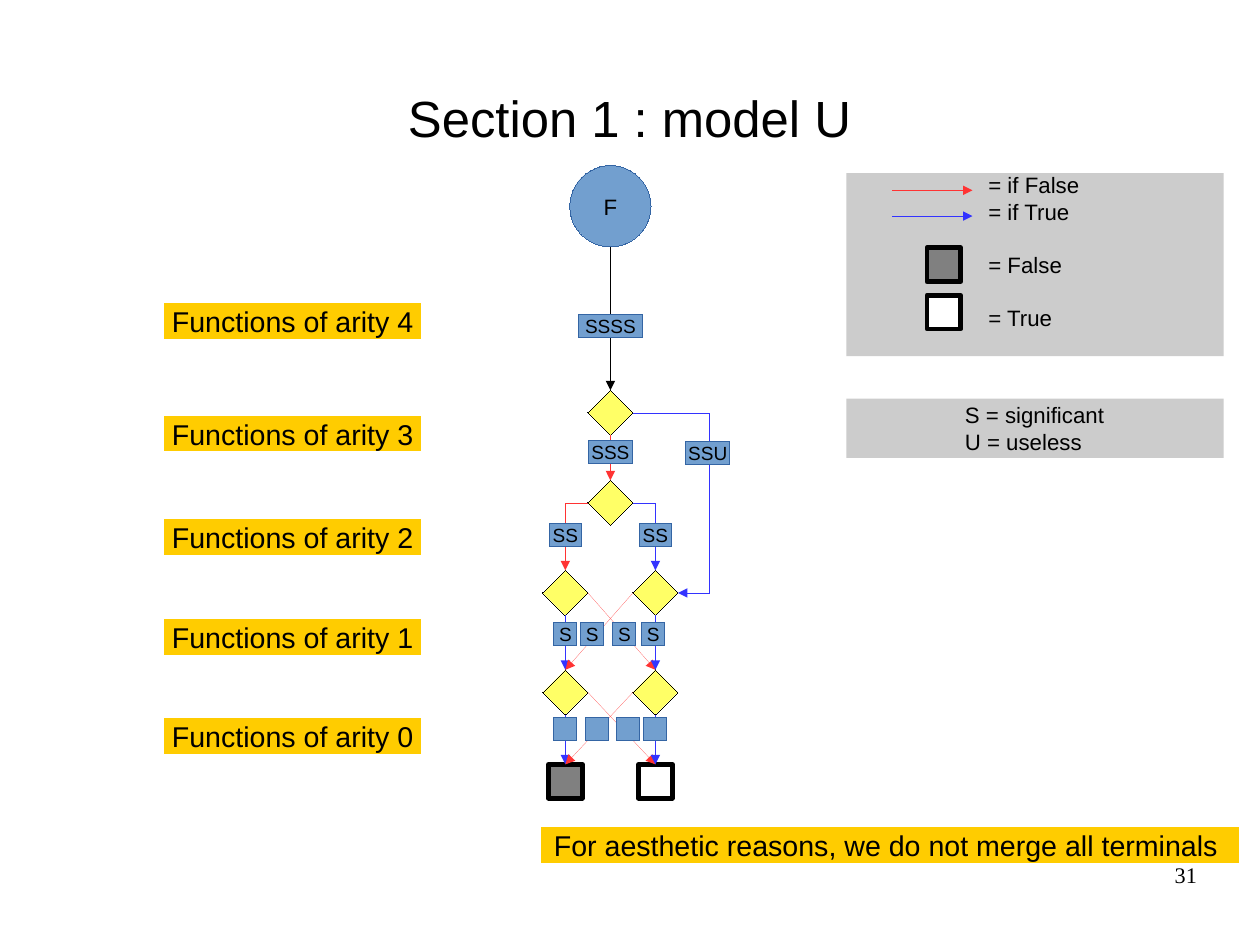
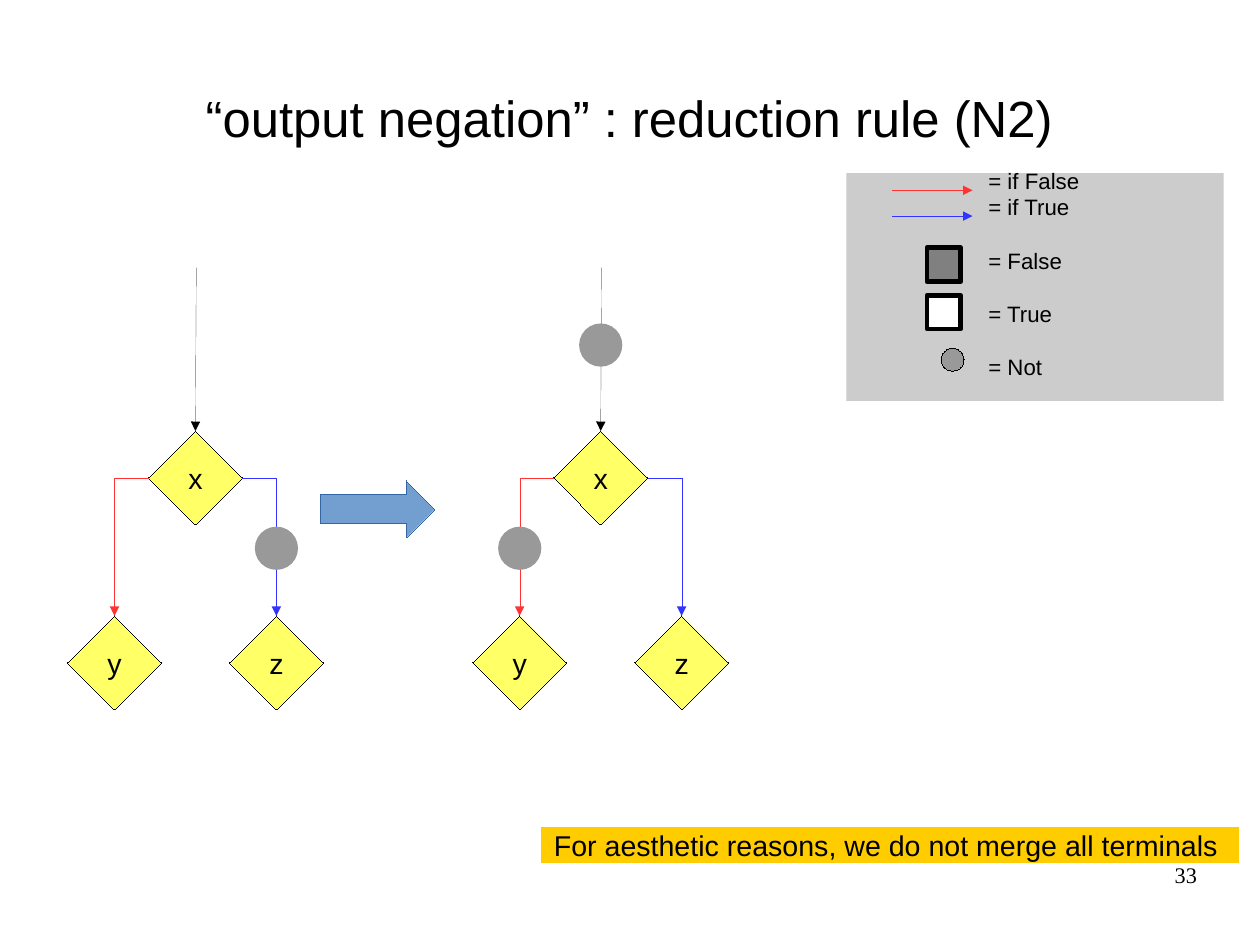
from dataclasses import dataclass
from typing import NamedTuple, Optional, Union

from lxml import etree
from pptx import Presentation
from pptx.dml.color import RGBColor
from pptx.enum.shapes import MSO_CONNECTOR, MSO_SHAPE
from pptx.enum.text import MSO_ANCHOR, MSO_AUTO_SIZE, PP_ALIGN
from pptx.oxml.ns import qn
from pptx.util import Pt

RECT, DIAMOND, OVAL = MSO_SHAPE.RECTANGLE, MSO_SHAPE.DIAMOND, MSO_SHAPE.OVAL
BLOCK_ARROW = MSO_SHAPE.RIGHT_ARROW
STRAIGHT, ELBOW = MSO_CONNECTOR.STRAIGHT, MSO_CONNECTOR.ELBOW
LEFT, CENTER, RIGHT = PP_ALIGN.LEFT, PP_ALIGN.CENTER, PP_ALIGN.RIGHT
MIDDLE, TOP_ANCHOR = MSO_ANCHOR.MIDDLE, MSO_ANCHOR.TOP
NO_AUTOFIT = MSO_AUTO_SIZE.NONE
TOP_SITE, LEFT_SITE, BOTTOM_SITE, RIGHT_SITE = range(4)
TITLE_ONLY = 5


@dataclass(frozen=True)
class Theme:
    black: str = "000000"
    white: str = "FFFFFF"
    blue: str = "729FCF"
    blue_edge: str = "3465A4"
    yellow: str = "FFFF66"
    amber: str = "FFCC00"
    panel: str = "CCCCCC"
    negation: str = "999999"
    false_fill: str = "808080"
    if_false: str = "FF3333"
    if_true: str = "3333FF"
    font: str = "Arial"
    number_font: str = "Times New Roman"
    title: float = 32
    body: float = 18
    legend: float = 14
    chip: float = 12
    legend_pitch: float = 16.8


THEME = Theme()


@dataclass(frozen=True)
class Box:
    """A preset shape placed by its centre, in points."""
    cx: float
    cy: float
    w: float
    h: float
    fill: str
    edge: Optional[str] = None
    kind: MSO_SHAPE = RECT
    weight: float = 0
    text: str = ""
    size: float = THEME.body
    right_inset: float = 0


class Joint(NamedTuple):
    shape: object
    site: int


class Point(NamedTuple):
    x: float
    y: float


class Entry(NamedTuple):
    text: str
    gap: bool


# Shared drawing functions

def assign(target, values: dict) -> None:
    for key, value in values.items():
        setattr(target, key, value)


def style_text(paragraph, size: float, align, font: str = THEME.font) -> None:
    paragraph.alignment = align
    assign(paragraph.font, {"size": Pt(size), "name": font})
    paragraph.font.color.rgb = RGBColor.from_string(THEME.black)


def style_frame(frame, wrap: bool = True, anchor=MIDDLE, left: float = 0, top: float = 0,
                right: float = 0, bottom: float = 0) -> None:
    assign(frame, {
        "auto_size": NO_AUTOFIT, "word_wrap": wrap, "vertical_anchor": anchor,
        "margin_left": Pt(left), "margin_top": Pt(top),
        "margin_right": Pt(right), "margin_bottom": Pt(bottom),
    })


def style_line(shape, colour: str, weight: float = 0):
    shape.line.color.rgb = RGBColor.from_string(colour)
    outline = shape._element.spPr.find(qn("a:ln"))
    # A hairline needs its zero width written out
    outline.set("w", str(Pt(weight)))
    return outline


def draw(slide, box: Box):
    shape = slide.shapes.add_shape(box.kind, Pt(box.cx - box.w / 2), Pt(box.cy - box.h / 2),
                                   Pt(box.w), Pt(box.h))
    shape.shadow.inherit = False
    shape.fill.solid()
    shape.fill.fore_color.rgb = RGBColor.from_string(box.fill)
    if box.edge:
        style_line(shape, box.edge, box.weight)
    else:
        shape.line.fill.background()
    if box.text:
        style_frame(shape.text_frame, wrap=False, right=box.right_inset)
        shape.text_frame.text = box.text
        style_text(shape.text_frame.paragraphs[0], box.size, CENTER)
    return shape


def arrow(slide, colour: str, start: Union[Point, Joint], end: Union[Point, Joint],
          bend: str = "", adjust: int = 0) -> None:
    first = start if isinstance(start, Point) else Point(0, 0)
    last = end if isinstance(end, Point) else Point(0, 0)
    link = slide.shapes.add_connector(ELBOW if bend else STRAIGHT, Pt(first.x), Pt(first.y),
                                      Pt(last.x), Pt(last.y))
    if isinstance(start, Joint):
        link.begin_connect(start.shape, start.site)
    if isinstance(end, Joint):
        link.end_connect(end.shape, end.site)
    outline = style_line(link, colour)
    etree.SubElement(outline, qn("a:tailEnd"), type="triangle")
    properties = link._element.spPr
    etree.SubElement(properties, qn("a:effectLst"))
    if bend:
        geometry = properties.find(qn("a:prstGeom"))
        geometry.set("prst", bend)
        if adjust:
            etree.SubElement(geometry.find(qn("a:avLst")), qn("a:gd"),
                             name="adj1", fmla=f"val {adjust}")


def panel(slide, top: float, height: float, indent: float, entries: list[Entry],
          trailing: float = 0) -> None:
    shape = draw(slide, Box(651.8, top + height / 2, 237.6, height, THEME.panel))
    frame = shape.text_frame
    style_frame(frame, left=indent, top=3.6, bottom=3.6 + trailing)
    for index, entry in enumerate(entries):
        paragraph = frame.paragraphs[0] if index == 0 else frame.add_paragraph()
        paragraph.text = entry.text
        paragraph.line_spacing = Pt(THEME.legend_pitch)
        if entry.gap:
            paragraph.space_before = Pt(THEME.legend_pitch)
        style_text(paragraph, THEME.legend, LEFT)


def terminal(slide, cx: float, cy: float, fill: str):
    return draw(slide, Box(cx, cy, 21.3, 21.3, fill, THEME.black, weight=3))


def legend(slide, height: float, with_not: bool = False) -> None:
    entries = [Entry("= if False", False), Entry("= if True", False),
               Entry("= False", True), Entry("= True", True)]
    if with_not:
        entries.append(Entry("= Not", True))
    panel(slide, 109, height, 89.4, entries, trailing=THEME.legend_pitch)
    for cy, colour in ((119.8, THEME.if_false), (136, THEME.if_true)):
        arrow(slide, colour, Point(562, cy), Point(612.4, cy))
    for cy, fill in ((166.6, THEME.false_fill), (196.4, THEME.white)):
        terminal(slide, 594.4, cy, fill)
    if with_not:
        draw(slide, Box(599.9, 226.4, 14.4, 14.4, THEME.negation, THEME.black, OVAL))


def new_slide(deck, heading: str, number: int):
    slide = deck.slides.add_slide(deck.slide_layouts[TITLE_ONLY])
    title = slide.shapes.title
    assign(title, {"left": Pt(39.6), "top": Pt(23.8), "width": Pt(714.2), "height": Pt(99.4)})
    style_frame(title.text_frame)
    title.text_frame.text = heading
    style_text(title.text_frame.paragraphs[0], THEME.title, CENTER)

    draw(slide, Box(560.4, 532, 439.2, 21.8, THEME.amber, THEME.amber, right_inset=5,
                    text="For aesthetic reasons, we do not merge all terminals"))
    page = slide.shapes.add_textbox(Pt(568.8), Pt(542.4), Pt(185), Pt(41)).text_frame
    style_frame(page, anchor=TOP_ANCHOR)
    page.text = str(number)
    style_text(page.paragraphs[0], THEME.legend, RIGHT, THEME.number_font)
    return slide


# Slide 1: decision diagram by arity

def model_u(deck) -> None:
    slide = new_slide(deck, "Section 1 : model U", 31)
    axis, half = 384.4, 28.35
    west, east = axis - half, axis + half

    def decision(cx: float, cy: float):
        return draw(slide, Box(cx, cy, half, half, THEME.yellow, THEME.black, DIAMOND))

    # Nodes
    draw(slide, Box(axis, 129.8, 51.2, 51.2, THEME.blue, THEME.blue_edge, OVAL,
                    text="F", size=THEME.legend))
    arity_four, arity_three = (decision(axis, cy) for cy in (259.8, 316.5))
    arity_two, arity_one = ([decision(cx, cy) for cx in (west, east)] for cy in (373.2, 435.8))
    terminals = [terminal(slide, west, 491.8, THEME.false_fill),
                 terminal(slide, east, 491.8, THEME.white)]

    # Branches
    arrow(slide, THEME.black, Point(axis, 155.4), Joint(arity_four, TOP_SITE))
    arrow(slide, THEME.if_true, Joint(arity_four, RIGHT_SITE), Joint(arity_two[1], RIGHT_SITE),
          "bentConnector3", 168400)
    arrow(slide, THEME.if_false, Joint(arity_four, BOTTOM_SITE), Joint(arity_three, TOP_SITE))
    for colour, site, child in ((THEME.if_false, LEFT_SITE, arity_two[0]),
                                (THEME.if_true, RIGHT_SITE, arity_two[1])):
        arrow(slide, colour, Joint(arity_three, site), Joint(child, TOP_SITE), "bentConnector2")
    for parents, children in ((arity_two, arity_one), (arity_one, terminals)):
        for side, inner_site in enumerate((RIGHT_SITE, LEFT_SITE)):
            arrow(slide, THEME.if_true, Joint(parents[side], BOTTOM_SITE),
                  Joint(children[side], TOP_SITE))
            arrow(slide, THEME.if_false, Joint(parents[side], inner_site),
                  Joint(children[1 - side], TOP_SITE))

    # Labels on the branches
    chip_widths = {"": 14.4, "S": 14.4, "SS": 20.4, "SSS": 27.7, "SSU": 27.7, "SSSS": 39.9}
    chip_rows = (
        ("SSSS", 205.3, (axis,)),
        ("SSS", 284.6, (axis,)),
        ("SSU", 285.3, (445.7,)),
        ("SS", 337, (west, east)),
        ("S", 399.2, (west, 373, 393.2, 411.4)),
        ("", 458.9, (west, 376.1, 395.6, east)),
    )
    for label, cy, centres in chip_rows:
        for cx in centres:
            draw(slide, Box(cx, cy, chip_widths[label], 14.4, THEME.blue, THEME.blue_edge,
                            text=label, size=THEME.chip))

    # Arity bands
    for arity, cy in enumerate((463.4, 401, 338.2, 273, 202.2)):
        draw(slide, Box(184.3, cy, 161.3, 21.8, THEME.amber, THEME.amber,
                        text=f"Functions of arity {arity}"))

    legend(slide, 115.2)
    panel(slide, 250.9, 37.4, 74.6,
          [Entry("S = significant", False), Entry("U = useless", False)])


# Slide 2: output negation

def negation_tree(slide, root_x: float, negations: list[Point]) -> None:
    spread = 51

    def variable(name: str, cx: float, cy: float):
        return draw(slide, Box(cx, cy, 59, 59, THEME.yellow, THEME.black, DIAMOND, text=name))

    root = variable("x", root_x, 300.8)
    low = variable("y", root_x - spread, 417.2)
    high = variable("z", root_x + spread, 417.2)
    arrow(slide, THEME.black, Point(root_x + 0.5, 168.4), Joint(root, TOP_SITE))
    arrow(slide, THEME.if_false, Joint(root, LEFT_SITE), Joint(low, TOP_SITE), "bentConnector2")
    arrow(slide, THEME.if_true, Joint(root, RIGHT_SITE), Joint(high, TOP_SITE), "bentConnector2")
    for column, cy in negations:
        draw(slide, Box(root_x + column * spread, cy, 27.2, 27.2, THEME.negation, kind=OVAL))


def output_negation(deck) -> None:
    slide = new_slide(deck, "“output negation” : reduction rule (N2)", 33)
    negation_tree(slide, 123.1, [Point(1, 345.1)])
    negation_tree(slide, 378.3, [Point(-1, 345.1), Point(0, 217.2)])
    draw(slide, Box(237.8, 320.6, 72, 36, THEME.blue, THEME.blue_edge, BLOCK_ARROW))
    legend(slide, 143.3, with_not=True)


def main() -> None:
    deck = Presentation()
    deck.slide_width = Pt(793.44)
    deck.slide_height = Pt(595.44)
    model_u(deck)
    output_negation(deck)
    deck.save("out.pptx")


if __name__ == "__main__":
    main()
